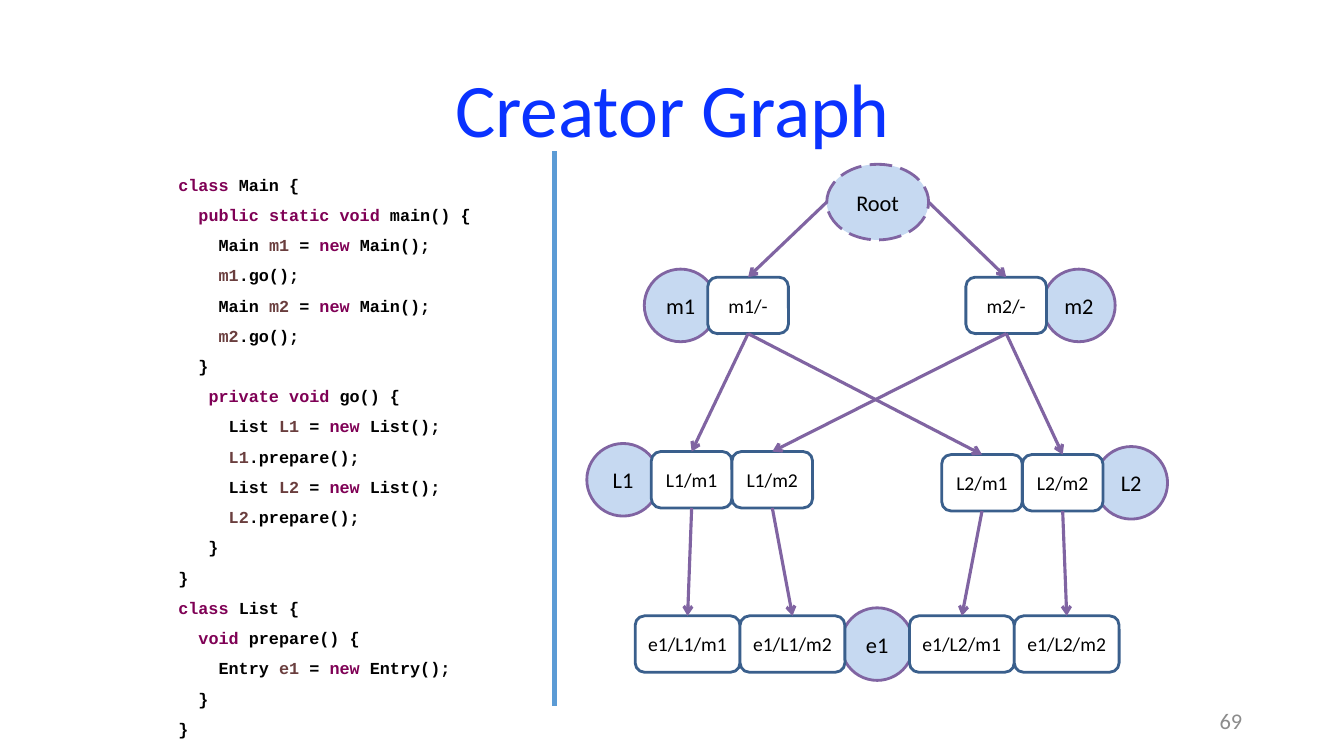
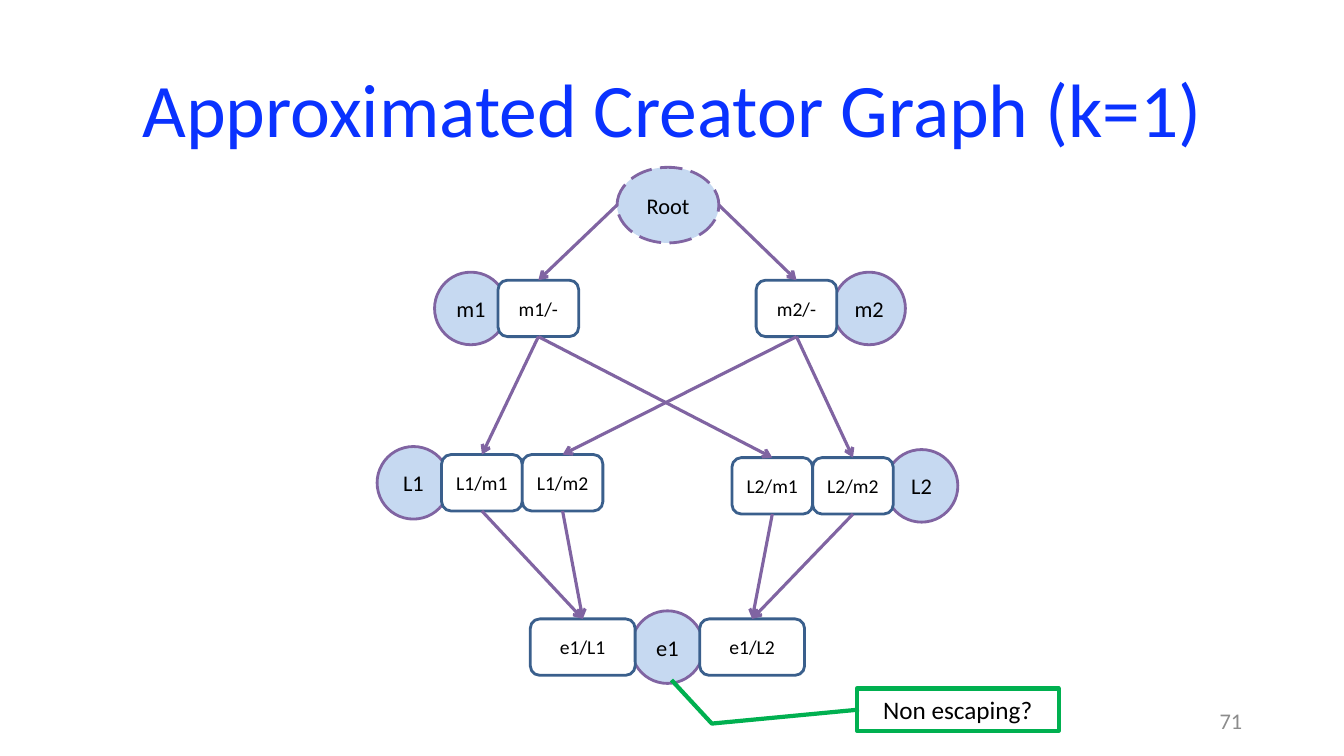
from itertools import groupby

from lxml import etree
from pptx import Presentation
from pptx import util as u
from pptx.dml.color import RGBColor
from pptx.enum import dml, shapes, text
from pptx.oxml import ns

PX = 9144
BLUE = RGBColor(0x0A, 0x32, 0xFF)
GRAY = RGBColor(0x8C, 0x8C, 0x8C)
BLACK = RGBColor(0, 0, 0)
WHITE = RGBColor(0xFF, 0xFF, 0xFF)
PLUM = RGBColor(0x7F, 0x00, 0x55)
BROWN = RGBColor(0x6A, 0x3E, 0x3E)
SKY = RGBColor(0x5B, 0x9B, 0xD5)
PALE = RGBColor(0xC6, 0xD9, 0xF1)
VIOLET = RGBColor(0x80, 0x64, 0xA2)
NAVY = RGBColor(0x3A, 0x5F, 0x8C)
GREEN = RGBColor(0x00, 0xB0, 0x50)

KIND = shapes.MSO_SHAPE
MID = text.MSO_ANCHOR.MIDDLE
CENTER = text.PP_ALIGN.CENTER
RIGHT = text.PP_ALIGN.RIGHT

TITLE = {"name": "Calibri", "size": u.Pt(54)}
NUMBER = {"name": "Calibri", "size": u.Pt(16)}
OBJECT = {"name": "Calibri", "size": u.Pt(16)}
CONTEXT = {"name": "Calibri", "size": u.Pt(14)}
NOTE = {"name": "Calibri", "size": u.Pt(18)}
MONO = {"name": "Courier New", "size": u.Pt(12), "bold": True}

KEYS = {"class", "public", "static", "void", "private", "new"}
NAMES = {"m1", "m2", "L1", "L2", "e1"}
CODE = """class Main {
  public static void main() {
    Main m1 = new Main();
    m1.go();
    Main m2 = new Main();
    m2.go();
  }
   private void go() {
     List L1 = new List();
     L1.prepare();
     List L2 = new List();
     L2.prepare();
   }
}
class List {
  void prepare() {
    Entry e1 = new Entry();
  }
}"""

DISC = 72
HIGH = 56
SLIM = 80
WIDE = 104
DISCS = {"m1": (57, 104), "m2": (452, 104), "L1": (0, 277),
         "L2": (504, 280), "e1": (252, 440)}
BOXES = {"m1/-": (120, 112, SLIM), "m2/-": (376, 112, SLIM),
         "L1/m1": (64, 285, SLIM), "L1/m2": (64 + SLIM, 285, SLIM),
         "L2/m1": (352, 288, SLIM), "L2/m2": (352 + SLIM, 288, SLIM)}
EDGES = [("m1/-", "L1/m1"), ("m2/-", "L2/m2"),
         ("m2/-", "L1/m2"), ("m1/-", "L2/m1")]

FULL_BOXES = {"e1/L1/m1": (48, 448, WIDE), "e1/L1/m2": (48 + WIDE, 448, WIDE),
              "e1/L2/m1": (320, 448, WIDE), "e1/L2/m2": (320 + WIDE, 448, WIDE)}
FULL_EDGES = [(name[3:], name) for name in FULL_BOXES]
NEAR_BOXES = {"e1/L1": (152, 448, WIDE), "e1/L2": (320, 448, WIDE)}
NEAR_EDGES = [(name, "e1/" + name[:2]) for name in BOXES if name[0] == "L"]


def emu(*vals):
    return [val * PX for val in vals]


def put(obj, vals):
    for key, val in vals.items():
        setattr(obj, key, val)


def add_run(para, words, font, ink):
    run = para.add_run()
    run.text = words
    put(run.font, font)
    run.font.color.rgb = ink


def label(shape, words, font, ink=BLACK, wrap=False, **form):
    put(shape.text_frame, {"word_wrap": wrap, "vertical_anchor": MID})
    para = shape.text_frame.paragraphs[0]
    put(para, {"alignment": CENTER, **form})
    add_run(para, words, font, ink)


def stroke(line, ink, width):
    line.color.rgb = ink
    line.width = u.Pt(width)


def shape(slide, kind, box, words, font, ink, fill=None, width=2):
    item = slide.shapes.add_shape(kind, *emu(*box))
    item.shadow.inherit = False
    if fill is None:
        item.fill.background()
    else:
        item.fill.solid()
        item.fill.fore_color.rgb = fill
    stroke(item.line, ink, width)
    label(item, words, font)
    return item


def link(slide, ends, ink, width):
    line = slide.shapes.add_connector(shapes.MSO_CONNECTOR.STRAIGHT, *ends)
    stroke(line.line, ink, width)
    etree.SubElement(line._element.spPr, ns.qn("a:effectLst"))
    return line


def arrow(slide, start, end):
    line = link(slide, (*start, *end), VIOLET, 2.25)
    rim = line._element.spPr.find(ns.qn("a:ln"))
    etree.SubElement(rim, ns.qn("a:tailEnd"), type="arrow")
    return line


def base(deck, title, number):
    slide = deck.slides.add_slide(deck.slide_layouts[6])
    head = slide.shapes.add_textbox(*emu(92, 40, 1150, 145))
    label(head, title, TITLE, BLUE, True, line_spacing=0.9)
    foot = slide.shapes.add_textbox(*emu(942, 695, 300, 40))
    label(foot, number, NUMBER, GRAY, True, alignment=RIGHT)
    return slide


def tint(word):
    return PLUM if word in KEYS else BROWN if word in NAMES else BLACK


def listing(slide, box):
    frame = slide.shapes.add_textbox(*emu(*box)).text_frame
    frame.word_wrap = True
    for num, row in enumerate(CODE.split("\n")):
        para = frame.add_paragraph() if num else frame.paragraphs[0]
        para.line_spacing = 1.5
        words = ["".join(part) for _, part in groupby(row, str.isalnum)]
        for ink, part in groupby(words, tint):
            add_run(para, "".join(part), MONO, ink)


def graph(slide, left, top, boxes, edges):
    for name, (x, y) in DISCS.items():
        shape(slide, KIND.OVAL, (left + x, top + y, DISC, DISC),
              name, OBJECT, VIOLET, PALE)
    root = shape(slide, KIND.OVAL, (left + 238, top, 101, 75),
                 "Root", OBJECT, VIOLET, PALE)
    root.line.dash_style = dml.MSO_LINE.LONG_DASH
    nodes = {}
    for name, (x, y, wide) in {**BOXES, **boxes}.items():
        nodes[name] = shape(slide, KIND.ROUNDED_RECTANGLE,
                            (left + x, top + y, wide, HIGH),
                            name, CONTEXT, NAVY, WHITE)
    for name, x in (("m1/-", root.left), ("m2/-", root.left + root.width)):
        node = nodes[name]
        line = arrow(slide, (x, root.top + root.height // 2),
                     (node.left + node.width // 2, node.top))
        line.end_connect(node, 0)
    for start, end in EDGES + edges:
        one, two = nodes[start], nodes[end]
        line = arrow(slide, (one.left, one.top), (two.left, two.top))
        line.begin_connect(one, 2)
        line.end_connect(two, 0)


def callout(slide, box, words):
    item = shape(slide, KIND.LINE_CALLOUT_2, box, words, NOTE, GREEN, width=3)
    for num, val in enumerate((0.5, 0.01, 0.83, -0.72, -0.2, -0.92)):
        item.adjustments[num] = val


def main():
    deck = Presentation()
    put(deck, {"slide_width": 1333 * PX, "slide_height": 750 * PX})

    slide = base(deck, "Creator Graph", "69")
    listing(slide, (167, 158, 367, 600))
    link(slide, emu(550, 150, 550, 700), SKY, 3)
    graph(slide, 582, 163, FULL_BOXES, FULL_EDGES)

    slide = base(deck, "Approximated Creator Graph (k=1)", "71")
    graph(slide, 374, 166, NEAR_BOXES, NEAR_EDGES)
    callout(slide, (850, 683, 200, 42), "Non escaping?")

    deck.save("out.pptx")


if __name__ == "__main__":
    main()
